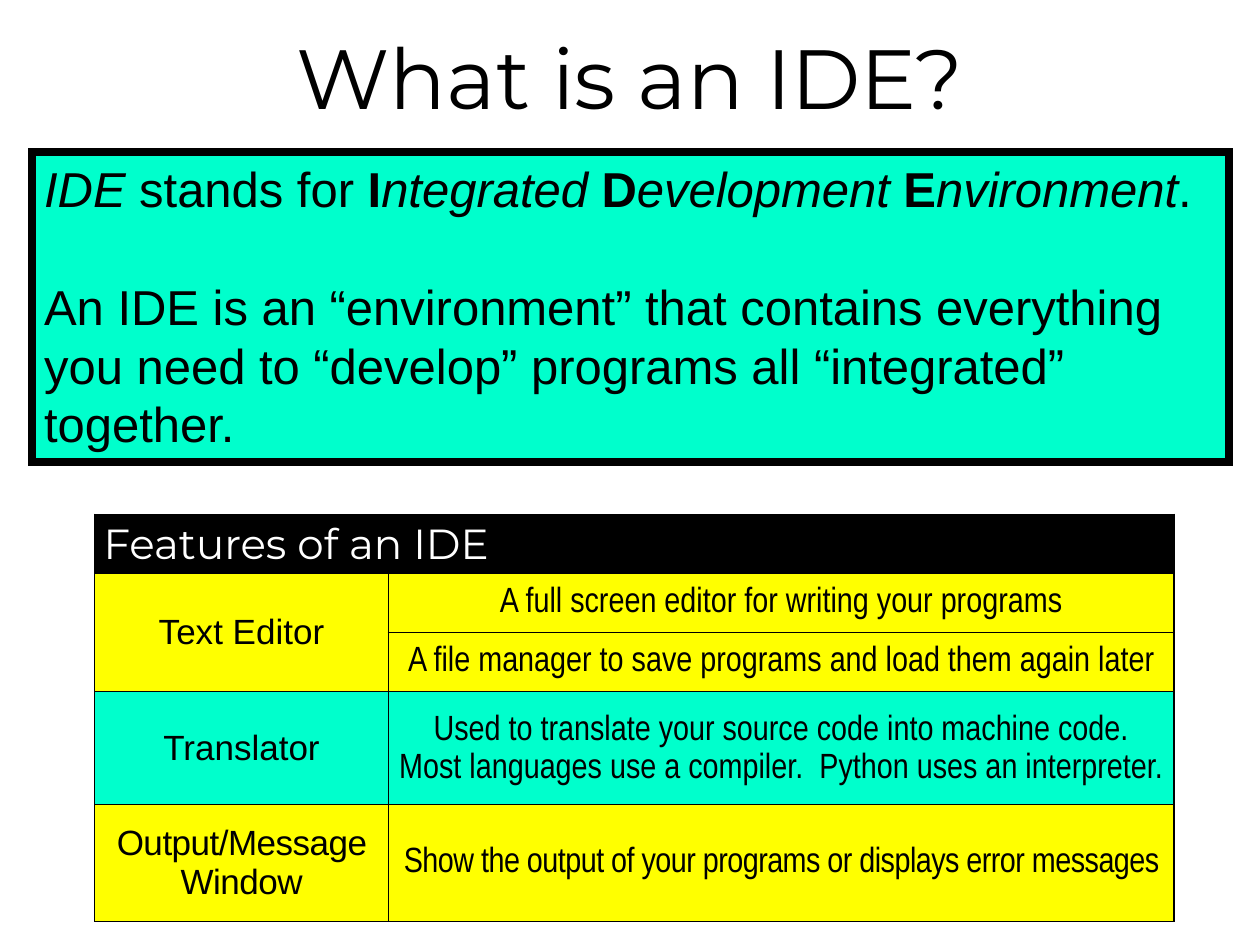
from dataclasses import dataclass

from lxml.etree import SubElement
from pptx import Presentation
from pptx.dml.color import RGBColor
from pptx.enum.shapes import MSO_SHAPE
from pptx.enum.text import MSO_ANCHOR, PP_ALIGN
from pptx.oxml.ns import qn
from pptx.util import Cm, Pt

BLACK = RGBColor(0x00, 0x00, 0x00)
WHITE = RGBColor(0xFF, 0xFF, 0xFF)
YELLOW = RGBColor(0xFF, 0xFF, 0x00)
AQUA = RGBColor(0x00, 0xFF, 0xCC)


@dataclass
class Run:
    text: str
    bold: bool = False
    italic: bool = False


@dataclass
class TableCell:
    row: int
    col: int
    lines: list[str]
    fill: RGBColor
    font: str = "Arial"
    size: int = 20
    color: RGBColor = BLACK
    align: PP_ALIGN = PP_ALIGN.CENTER
    line_spacing: float | None = None
    tracking: int = 0  # hundredths of a point
    rows: int = 1
    cols: int = 1


def write(tf, paragraphs: list[list[Run]], *, font: str, size: int,
          color: RGBColor = BLACK, align: PP_ALIGN = PP_ALIGN.LEFT,
          line_spacing: float | None = None, gap: float = 0,
          tracking: int = 0) -> None:
    """Fill a text frame; gap is the space in points between paragraphs."""
    for i, runs in enumerate(paragraphs):
        p = tf.add_paragraph() if i else tf.paragraphs[0]
        p.alignment = align
        if line_spacing:
            p.line_spacing = line_spacing
        if i and gap:
            p.space_before = Pt(gap)
        for run in runs:
            r = p.add_run()
            r.text = run.text
            r.font.name, r.font.size = font, Pt(size)
            r.font.bold, r.font.italic = run.bold, run.italic
            r.font.color.rgb = color
            if tracking:
                r.font._element.set("spc", str(tracking))


def set_borders(cell, color: RGBColor, width: float) -> None:
    tc_pr = cell._tc.get_or_add_tcPr()
    for i, side in enumerate(("lnL", "lnR", "lnT", "lnB")):
        ln = SubElement(tc_pr, qn(f"a:{side}"), w=str(Pt(width)))
        tc_pr.insert(i, ln)
        fill = SubElement(ln, qn("a:solidFill"))
        SubElement(fill, qn("a:srgbClr"), val=str(color))


def draw_cell(table, item: TableCell) -> None:
    cell = table.cell(item.row, item.col)
    if item.rows > 1 or item.cols > 1:
        cell.merge(table.cell(item.row + item.rows - 1, item.col + item.cols - 1))
    cell.fill.solid()
    cell.fill.fore_color.rgb = item.fill
    cell.vertical_anchor = MSO_ANCHOR.MIDDLE
    cell.margin_left = cell.margin_right = Cm(0.18)
    cell.margin_top = cell.margin_bottom = Cm(0)
    write(cell.text_frame, [[Run(line)] for line in item.lines],
          font=item.font, size=item.size, color=item.color, align=item.align,
          line_spacing=item.line_spacing, tracking=item.tracking)


DEFINITION = [
    [Run("IDE", italic=True), Run(" stands for "),
     Run("I", bold=True), Run("ntegrated", italic=True),
     Run(" D", bold=True), Run("evelopment", italic=True),
     Run(" E", bold=True), Run("nvironment", italic=True), Run(".")],
    [Run("An IDE is an “environment” that contains everything you need to "
         "“develop” programs all “integrated” together.")],
]

NARROW = "Arial Narrow"
FEATURES = [
    TableCell(0, 0, ["Features of an IDE"], BLACK, font="Montserrat", size=24,
              color=WHITE, align=PP_ALIGN.LEFT, cols=2),
    TableCell(1, 0, ["Text Editor"], YELLOW, rows=2),
    TableCell(1, 1, ["A full screen editor for writing your programs"],
              YELLOW, NARROW),
    TableCell(2, 1, ["A file manager to save programs and load them again later"],
              YELLOW, NARROW),
    TableCell(3, 0, ["Translator"], AQUA),
    TableCell(3, 1, ["Used to translate your source code into machine code.",
                     "Most languages use a compiler.  Python uses an interpreter."],
              AQUA, NARROW, line_spacing=1.14),
    TableCell(4, 0, ["Output/Message Window"], YELLOW, tracking=-30),
    TableCell(4, 1, ["Show the output of your programs or displays error messages"],
              YELLOW, NARROW, tracking=-30),
]
COL_WIDTHS = [5.92, 15.84]
ROW_HEIGHTS = [1.19, 1.19, 1.19, 2.28, 2.36]


def main() -> None:
    prs = Presentation()
    prs.slide_width, prs.slide_height = Cm(25.4), Cm(19.05)
    s = prs.slides.add_slide(prs.slide_layouts[6])

    # Definition box with square corners
    sp = s.shapes.add_shape(MSO_SHAPE.RECTANGLE, Cm(0.64), Cm(3.07), Cm(24.13), Cm(6.25))
    sp.shadow.inherit = False
    sp.fill.solid()
    sp.fill.fore_color.rgb = AQUA
    sp.line.color.rgb = BLACK
    sp.line.width = Pt(4.5)
    SubElement(sp.line._get_or_add_ln(), qn("a:miter"), lim="800000")
    tf = sp.text_frame
    tf.word_wrap = True
    tf.vertical_anchor = MSO_ANCHOR.TOP
    write(tf, DEFINITION, font="Arial", size=28, gap=33.7)

    # Title
    tf = s.shapes.add_textbox(Cm(0), Cm(0), Cm(25.4), Cm(3.07)).text_frame
    tf.word_wrap = True
    tf.vertical_anchor = MSO_ANCHOR.MIDDLE
    write(tf, [[Run("What is an IDE?")]], font="Montserrat", size=48,
          align=PP_ALIGN.CENTER)

    # Feature table
    table = s.shapes.add_table(
        len(ROW_HEIGHTS), len(COL_WIDTHS), Cm(1.91), Cm(10.37),
        Cm(sum(COL_WIDTHS)), Cm(sum(ROW_HEIGHTS))).table
    for col, width in zip(table.columns, COL_WIDTHS):
        col.width = Cm(width)
    for row, height in zip(table.rows, ROW_HEIGHTS):
        row.height = Cm(height)
    for item in FEATURES:
        draw_cell(table, item)
    for cell in table.iter_cells():
        set_borders(cell, BLACK, 1)

    prs.save("out.pptx")


if __name__ == "__main__":
    main()
